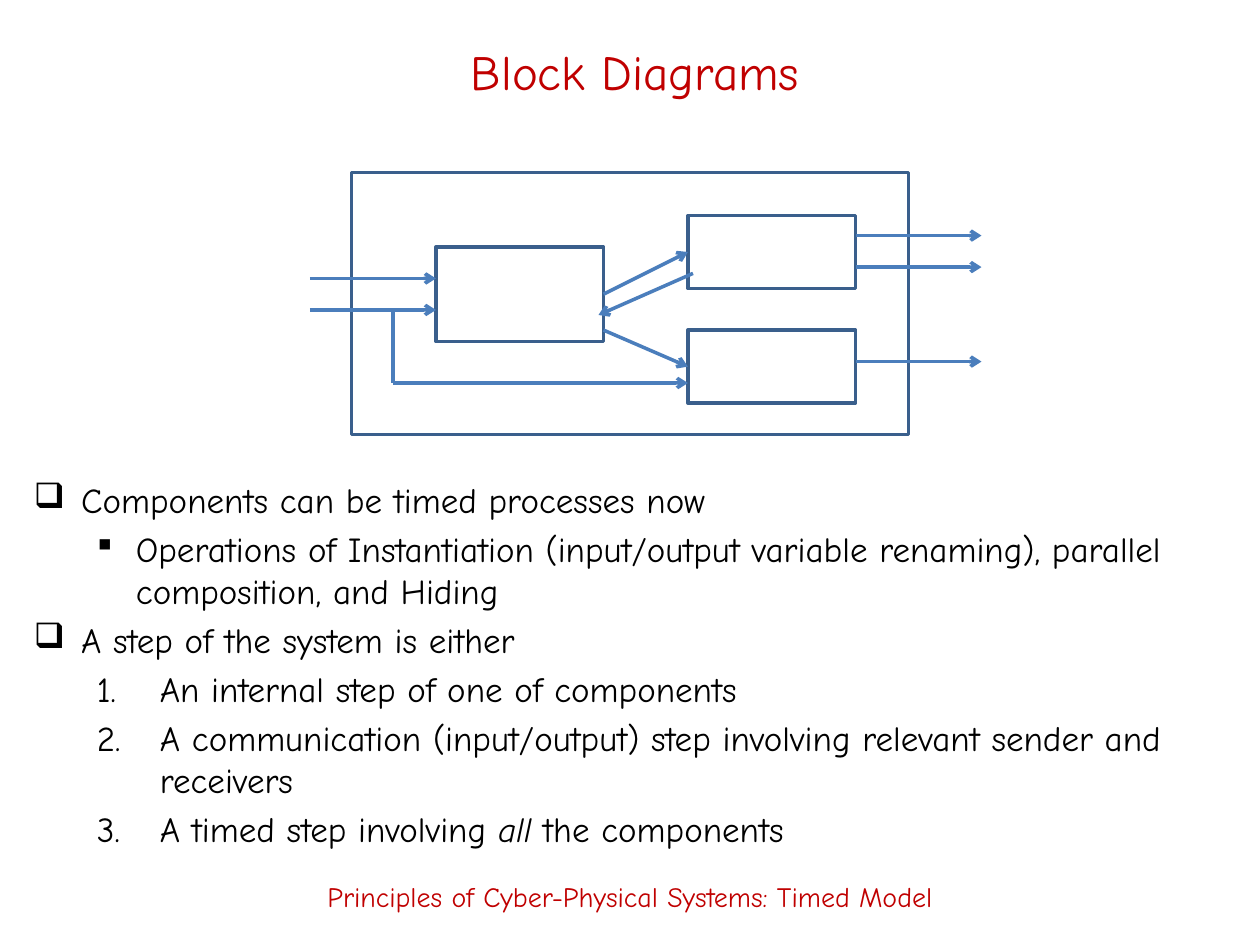
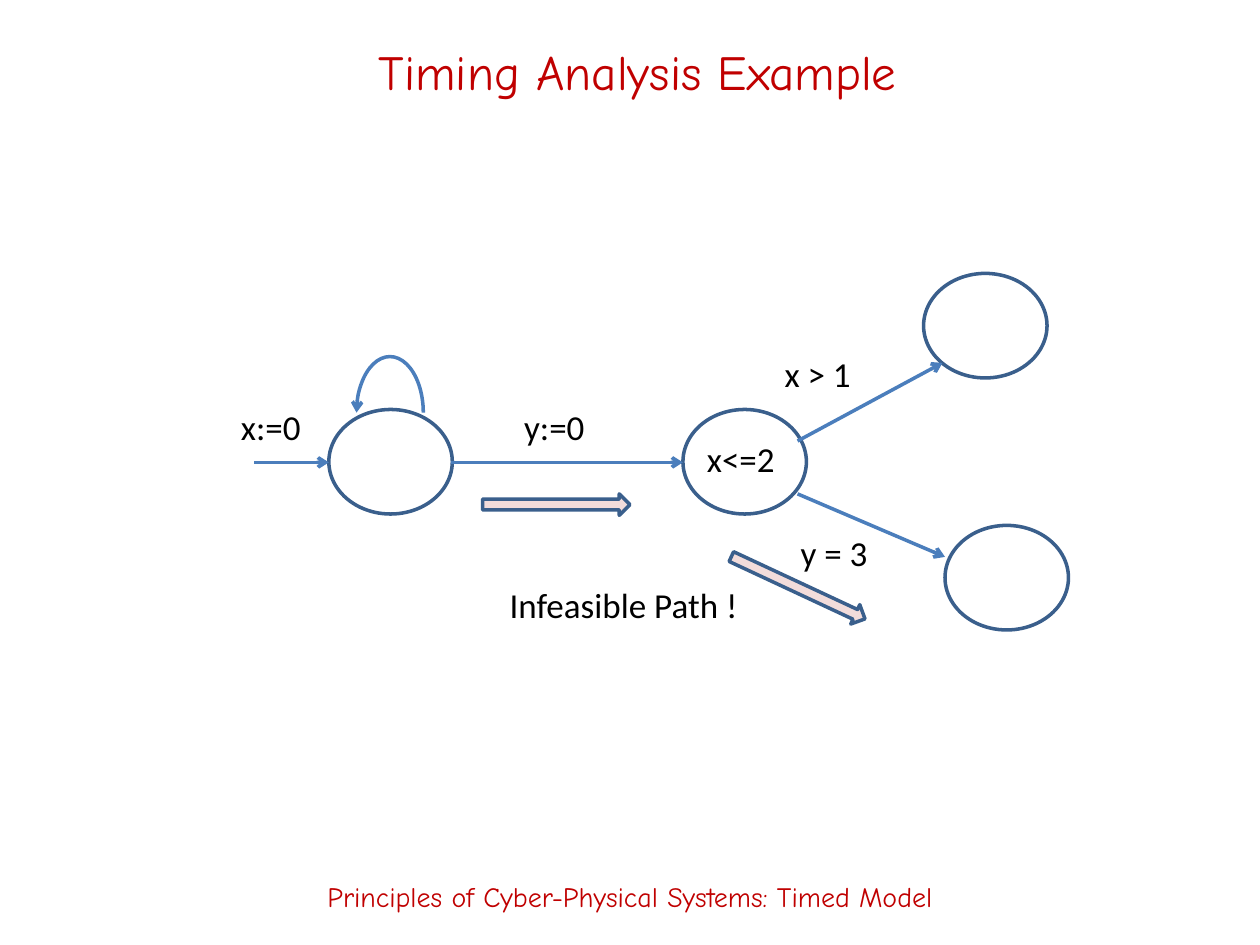
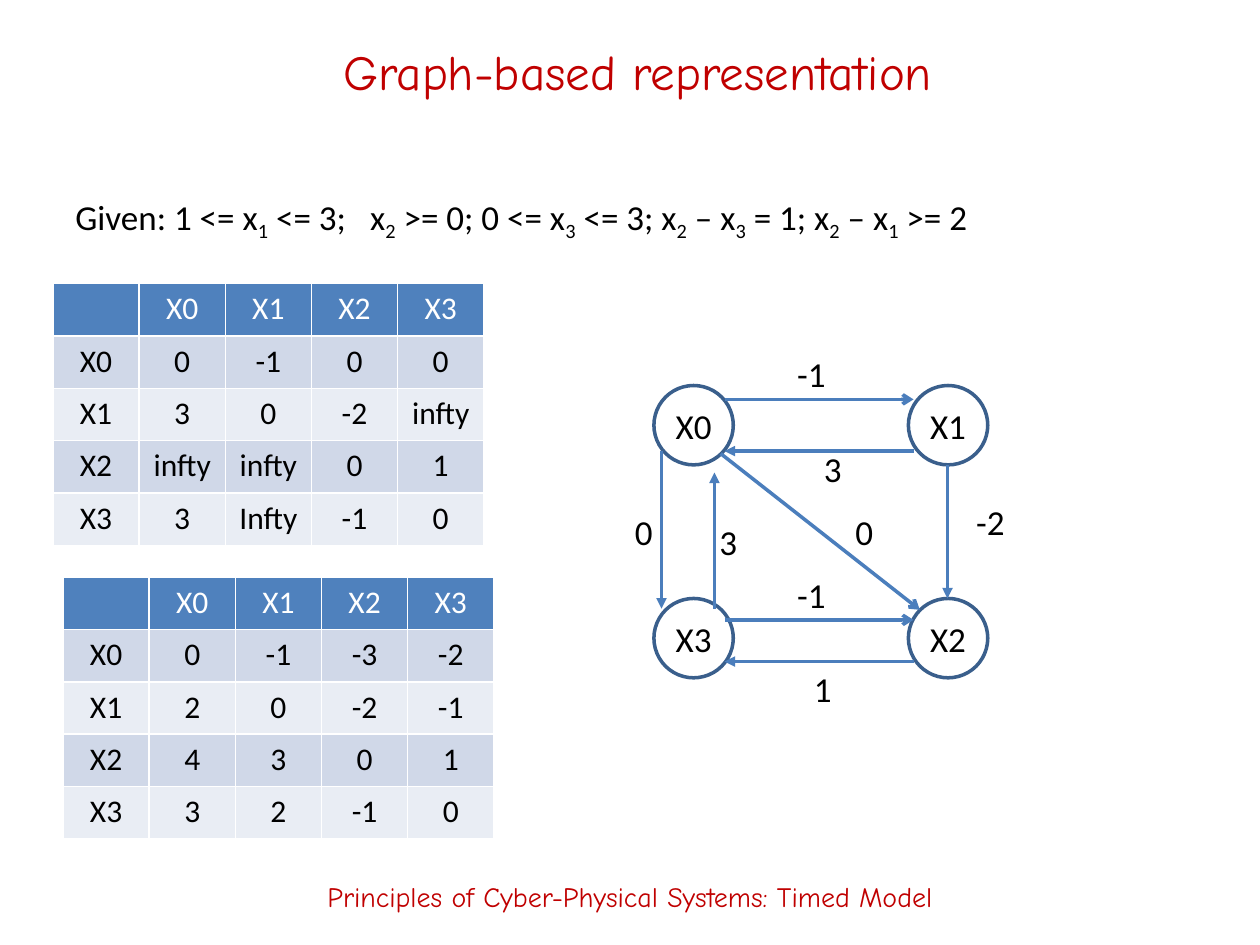
from lxml.etree import SubElement
from pptx import Presentation
from pptx.dml.color import RGBColor
from pptx.enum.shapes import MSO_CONNECTOR as Link, MSO_SHAPE as Shape
from pptx.enum.text import MSO_ANCHOR as Anchor, PP_ALIGN as Align
from pptx.oxml.ns import qn
from pptx.util import Inches, Pt

RED = "C00000"
BLACK = "000000"
WHITE = "FFFFFF"
OUTLINE = "3A5F8C"
ARROW = "4B7EBC"
HEADER = "4F81BD"
BANDS = ("E9EDF4", "D0D8E8")
PINK = "F2DCDB"
HAND = "Comic Neue"
PLAIN = "Calibri"
FOOTER = "Principles of Cyber-Physical Systems: Timed Model"

BULLETS = {
    "box": (0.375, 0.375, 0, "buChar", {"char": "q"}),
    "square": (0.81, 0.31, 1, "buChar", {"char": "§"}),
    "number": (1, 0.5, 1, "buAutoNum", {"type": "arabicPeriod"}),
}


def color(value):
    return RGBColor.from_string(value)


def style(para, size, font=PLAIN, tint=BLACK):
    for span in para.runs:
        span.font.size = Pt(size)
        span.font.name = font
        span.font.color.rgb = color(tint)


def add_box(page, left, top, width, height, wrap=True, anchor=Anchor.TOP):
    box = page.shapes.add_textbox(*map(Inches, (left, top, width, height)))
    box.text_frame.word_wrap = wrap
    box.text_frame.vertical_anchor = anchor
    return box.text_frame


def add_band(page, text, left, top, width, size):
    frame = add_box(page, left, top, width, 0.78, anchor=Anchor.MIDDLE)
    frame.text = text
    frame.paragraphs[0].alignment = Align.CENTER
    style(frame.paragraphs[0], size, HAND, RED)


def add_page(deck, title, title_left=0.77):
    page = deck.slides.add_slide(deck.slide_layouts[6])
    add_band(page, title, title_left, 0.17, 8.58, 28)
    add_band(page, FOOTER, 0, 6.72, 10, 16)
    return page


def add_marked_spans(para, text):
    marked = []
    for index, part in enumerate(text.split("_")):
        span = para.add_run()
        span.text = part
        if index % 2:
            marked.append(span)
    return marked


def add_bullets(page, items):
    frame = add_box(page, 0.17, 3.75, 9.75, 3.17)
    for index, (kind, text) in enumerate(items):
        para = frame.add_paragraph() if index else frame.paragraphs[0]
        indent, hanging, level, tag, attributes = BULLETS[kind]
        para.level = level
        props = para._p.get_or_add_pPr()
        props.set("marL", str(Inches(indent)))
        props.set("indent", str(-Inches(hanging)))
        if tag == "buChar":
            SubElement(props, qn("a:buFont"), typeface="Wingdings", charset="2")
        SubElement(props, qn("a:" + tag), attributes)
        for span in add_marked_spans(para, text):
            span.font.italic = True
        para.space_before = Pt(4 if index else 0)
        style(para, 20, HAND)


def add_label(page, text, center_x, center_y, width=0.5):
    frame = add_box(page, center_x - width / 2, center_y - 0.22, width, 0.44, wrap=False)
    frame.text = text
    frame.paragraphs[0].alignment = Align.CENTER
    style(frame.paragraphs[0], 20)


def add_outline(page, kind, left, top, width, height, fill=None, text=""):
    shape = page.shapes.add_shape(kind, *map(Inches, (left, top, width, height)))
    shape.shadow.inherit = False
    shape.line.color.rgb = color(OUTLINE)
    shape.line.width = Pt(2)
    if fill:
        shape.fill.solid()
        shape.fill.fore_color.rgb = color(fill)
    else:
        shape.fill.background()
    if text:
        frame = shape.text_frame
        frame.margin_left = frame.margin_right = 0
        frame.word_wrap = False
        frame.text = text
        frame.paragraphs[0].alignment = Align.CENTER
        style(frame.paragraphs[0], 20)
    return shape


def add_line(page, x1, y1, x2, y2, head="arrow"):
    line = page.shapes.add_connector(Link.STRAIGHT, *map(Inches, (x1, y1, x2, y2)))
    line.line.color.rgb = color(ARROW)
    line.line.width = Pt(2)
    if head:
        SubElement(line.line._get_or_add_ln(), qn("a:tailEnd"), type=head)
    SubElement(line._element.spPr, qn("a:effectLst"))
    return line


def add_borders(cell):
    props = cell._tc.get_or_add_tcPr()
    for side in "LRTB":
        edge = SubElement(props, qn("a:ln" + side), w=str(Pt(1)))
        fill = SubElement(edge, qn("a:solidFill"))
        SubElement(fill, qn("a:srgbClr"), val=WHITE)


def add_matrix(page, left, top, values):
    names = [f"X{index}" for index in range(len(values))]
    rows = [["", *names]] + [[name, *row] for name, row in zip(names, values)]
    count = len(rows)
    frame = page.shapes.add_table(
        count, count, Inches(left), Inches(top), Inches(3.42), Inches(2.08)
    )
    table = frame.table
    table.horz_banding = False
    for row, texts in enumerate(rows):
        for column, text in enumerate(texts):
            cell = table.cell(row, column)
            add_borders(cell)
            cell.fill.solid()
            cell.fill.fore_color.rgb = color(BANDS[row % 2] if row else HEADER)
            cell.text = text
            para = cell.text_frame.paragraphs[0]
            para.alignment = Align.CENTER
            para.font.size = Pt(18)
            style(para, 18, tint=BLACK if row else WHITE)
            for span in para.runs:
                span.font.bold = False


def build_block_diagram(deck):
    page = add_page(deck, "Block Diagrams", 0.75)
    add_bullets(page, [
        ("box", "Components can be timed processes now"),
        ("square", "Operations of Instantiation (input/output variable renaming), "
                   "parallel composition, and Hiding"),
        ("box", "A step of the system is either"),
        ("number", "An internal step of one of components"),
        ("number", "A communication (input/output) step involving relevant "
                   "sender and receivers"),
        ("number", "A timed step involving _all_ the components"),
    ])
    add_outline(page, Shape.RECTANGLE, 2.79, 1.37, 4.42, 2.08)
    source = add_outline(page, Shape.RECTANGLE, 3.46, 1.96, 1.33, 0.75)
    upper = add_outline(page, Shape.RECTANGLE, 5.46, 1.71, 1.33, 0.58)
    lower = add_outline(page, Shape.RECTANGLE, 5.46, 2.62, 1.33, 0.58)
    for y in (2.21, 2.46):
        add_line(page, 2.46, y, 3.46, y)
    for y in (1.87, 2.12, 2.87):
        add_line(page, 6.79, y, 7.79, y)
    to_upper = add_line(page, 4.79, 2.33, 5.46, 2)
    to_upper.begin_connect(source, 3)
    to_upper.end_connect(upper, 1)
    add_line(page, 4.79, 2.62, 5.46, 2.92).end_connect(lower, 1)
    add_line(page, 5.5, 2.17, 4.75, 2.5)
    add_line(page, 3.12, 2.46, 3.12, 3.04, head=None)
    add_line(page, 3.12, 3.04, 5.46, 3.04)


def build_timing_example(deck):
    page = add_page(deck, "Timing Analysis Example")
    for left, top in [(2.61, 3.25), (5.42, 3.25), (7.5, 4.17), (7.33, 2.17)]:
        add_outline(page, Shape.OVAL, left, top, 0.98, 0.83)
    loop = add_outline(page, Shape.ARC, 2.83, 2.83, 0.53, 0.89)
    loop.adjustments[0] = 108
    loop.adjustments[1] = 0
    loop.line.color.rgb = color(ARROW)
    SubElement(loop.line._get_or_add_ln(), qn("a:headEnd"), type="arrow")
    for ends in [
        (2.02, 3.67, 2.61, 3.67),
        (3.58, 3.67, 5.42, 3.67),
        (6.33, 3.5, 7.48, 2.88),
        (6.33, 3.92, 7.5, 4.42),
    ]:
        add_line(page, *ends)
    for left, top, angle in [(3.83, 3.92, 0), (5.75, 4.58, 25)]:
        hint = add_outline(page, Shape.RIGHT_ARROW, left, top, 1.17, 0.17, PINK)
        hint.rotation = angle
    for label in [
        ("x:=0", 2.15, 3.39, 0.7),
        ("y:=0", 4.4, 3.39, 0.7),
        ("x<=2", 5.88, 3.64, 0.76),
        ("x > 1", 6.49, 2.97, 0.74),
        ("y = 3", 6.62, 4.39, 0.74),
        ("Infeasible Path !", 4.95, 4.8, 2.04),
    ]:
        add_label(page, *label)


def build_graph(deck):
    page = add_page(deck, "Graph-based representation")
    given = add_box(page, 0.5, 1.5, 7.56, 0.44).paragraphs[0]
    tabs = SubElement(given._p.get_or_add_pPr(), qn("a:tabLst"))
    SubElement(tabs, qn("a:tab"), pos=str(Inches(2.34)), algn="l")
    for span in add_marked_spans(
        given,
        "Given: 1 <= x_1_ <= 3;\tx_2_ >= 0; 0 <= x_3_ <= 3; "
        "x_2_ – x_3_ = 1; x_2_ – x_1_ >= 2",
    ):
        span._r.get_or_add_rPr().set("baseline", "-25000")
    style(given, 20)

    add_matrix(page, 0.42, 2.25, [
        ["0", "-1", "0", "0"],
        ["3", "0", "-2", "infty"],
        ["infty", "infty", "0", "1"],
        ["3", "Infty", "-1", "0"],
    ])
    add_matrix(page, 0.5, 4.58, [
        ["0", "-1", "-3", "-2"],
        ["2", "0", "-2", "-1"],
        ["4", "3", "0", "1"],
        ["3", "2", "-1", "0"],
    ])
    nodes = [("X0", 5.19, 3.06), ("X1", 7.21, 3.06), ("X2", 7.21, 4.75), ("X3", 5.19, 4.75)]
    for name, left, top in nodes:
        add_outline(page, Shape.OVAL, left, top, 0.63, 0.63, text=name)
    edges = [
        (5.75, 3.17, 7.25, 3.17, "arrow", "-1", 6.44, 2.97),
        (7.25, 3.58, 5.75, 3.58, "triangle", "3", 6.61, 3.72),
        (7.52, 3.69, 7.52, 4.75, "triangle", "-2", 7.86, 4.14),
        (5.72, 3.6, 7.3, 4.84, "arrow", "0", 6.86, 4.22),
        (5.25, 3.58, 5.25, 4.83, "triangle", "0", 5.11, 4.22),
        (5.67, 4.83, 5.67, 3.75, "triangle", "3", 5.78, 4.3),
        (5.75, 4.92, 7.25, 4.92, "arrow", "-1", 6.44, 4.72),
        (7.25, 5.25, 5.75, 5.25, "triangle", "1", 6.53, 5.47),
    ]
    for x1, y1, x2, y2, head, weight, label_x, label_y in edges:
        add_line(page, x1, y1, x2, y2, head)
        add_label(page, weight, label_x, label_y)


def main():
    deck = Presentation()
    deck.slide_width = Inches(10)
    deck.slide_height = Inches(7.5)
    build_block_diagram(deck)
    build_timing_example(deck)
    build_graph(deck)
    deck.save("out.pptx")


if __name__ == "__main__":
    main()
